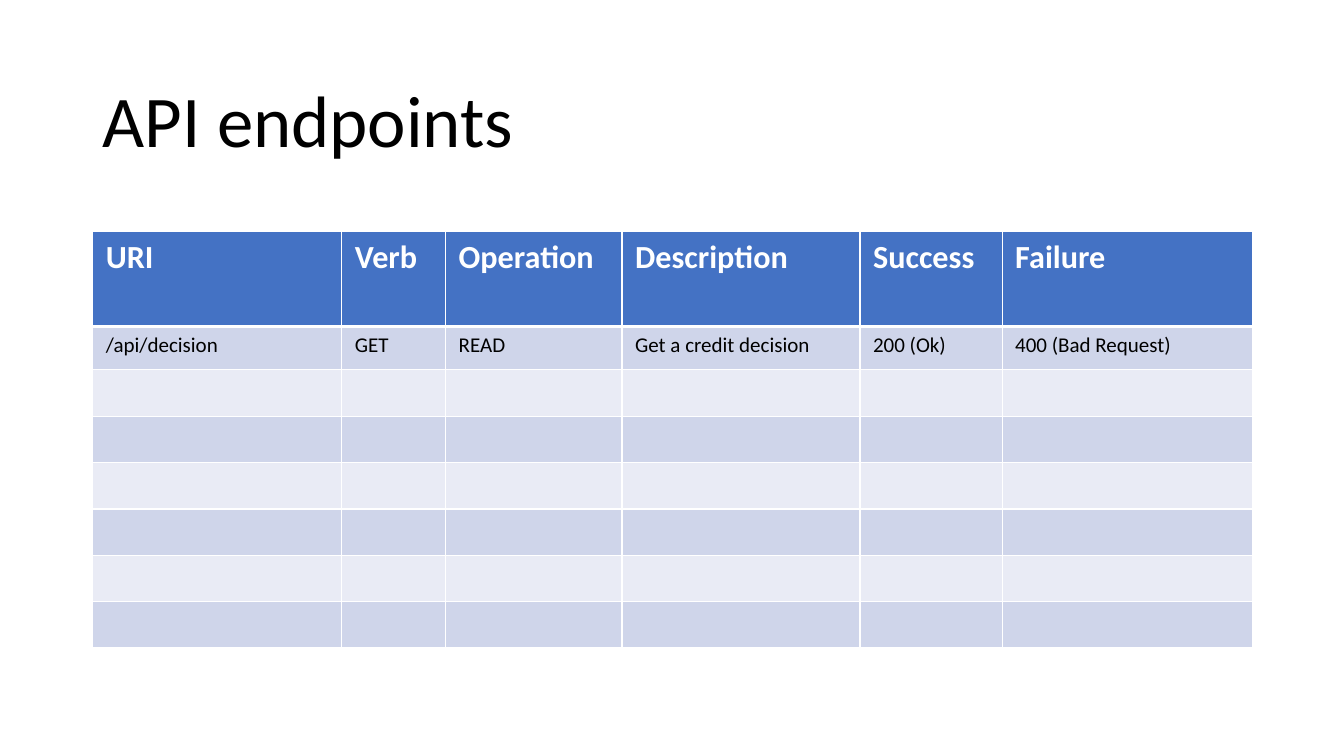
"""Build the API endpoints slide with its title and table."""
from lxml.etree import SubElement
from pptx import Presentation
from pptx.dml.color import RGBColor
from pptx.enum.text import MSO_ANCHOR
from pptx.oxml.ns import qn
from pptx.util import Inches, Pt

COLORS = {"text": "000000", "white": "FFFFFF", "header": "4472C4",
          "dark_band": "CFD5EA", "light_band": "E9EBF5"}
FONT = "Calibri"
HEADINGS = ["URI", "Verb", "Operation", "Description", "Success", "Failure"]
ENDPOINT = ["/api/decision", "GET", "READ", "Get a credit decision",
            "200 (Ok)", "400 (Bad Request)"]
COLUMN_WIDTHS = [2.47, 1.03, 1.75, 2.36, 1.41, 2.48]
ROW_HEIGHTS = [0.94, 0.43] + [0.46] * 6


def format_text(paragraph, size, color, bold=False):
    for span in paragraph.runs:
        span.font.name = FONT
        span.font.size = Pt(size)
        span.font.bold = bold
        span.font.color.rgb = RGBColor.from_string(COLORS[color])


def add_border(cell, side, width):
    line = SubElement(cell._tc.get_or_add_tcPr(), qn(f"a:ln{side}"), w=str(Pt(width)))
    fill = SubElement(line, qn("a:solidFill"))
    SubElement(fill, qn("a:srgbClr"), val=COLORS["white"])


deck = Presentation()
deck.slide_width = Inches(13.33)
deck.slide_height = Inches(7.5)
page = deck.slides.add_slide(deck.slide_layouts[6])

title = page.shapes.add_textbox(Inches(0.92), Inches(0.61), Inches(11.5), Inches(1.24))
title.text_frame.word_wrap = True
title.text_frame.vertical_anchor = MSO_ANCHOR.MIDDLE
title.text_frame.text = "API endpoints"
title.text_frame.paragraphs[0].line_spacing = 0.9
format_text(title.text_frame.paragraphs[0], 52, "text")

table = page.shapes.add_table(
    len(ROW_HEIGHTS), len(COLUMN_WIDTHS), Inches(0.92), Inches(2.3),
    Inches(sum(COLUMN_WIDTHS)), Inches(sum(ROW_HEIGHTS))).table
for column, width in zip(table.columns, COLUMN_WIDTHS):
    column.width = Inches(width)

contents = [HEADINGS, ENDPOINT] + [[""] * len(HEADINGS)] * 6
for row_index, (row, height, texts) in enumerate(zip(table.rows, ROW_HEIGHTS, contents)):
    row.height = Inches(height)
    is_header = row_index == 0
    band = "header" if is_header else "dark_band" if row_index % 2 else "light_band"
    for cell, text in zip(row.cells, texts):
        cell.margin_left = cell.margin_right = Inches(0.13)
        cell.margin_top = cell.margin_bottom = Inches(0.06)
        add_border(cell, "L", 1)
        add_border(cell, "R", 1)
        add_border(cell, "T", 3 if row_index == 1 else 1)
        add_border(cell, "B", 3 if is_header else 1)
        cell.fill.solid()
        cell.fill.fore_color.rgb = RGBColor.from_string(COLORS[band])
        if text:
            cell.text_frame.text = text
            format_text(cell.text_frame.paragraphs[0], 23 if is_header else 15,
                        "white" if is_header else "text", is_header)

deck.save("out.pptx")
